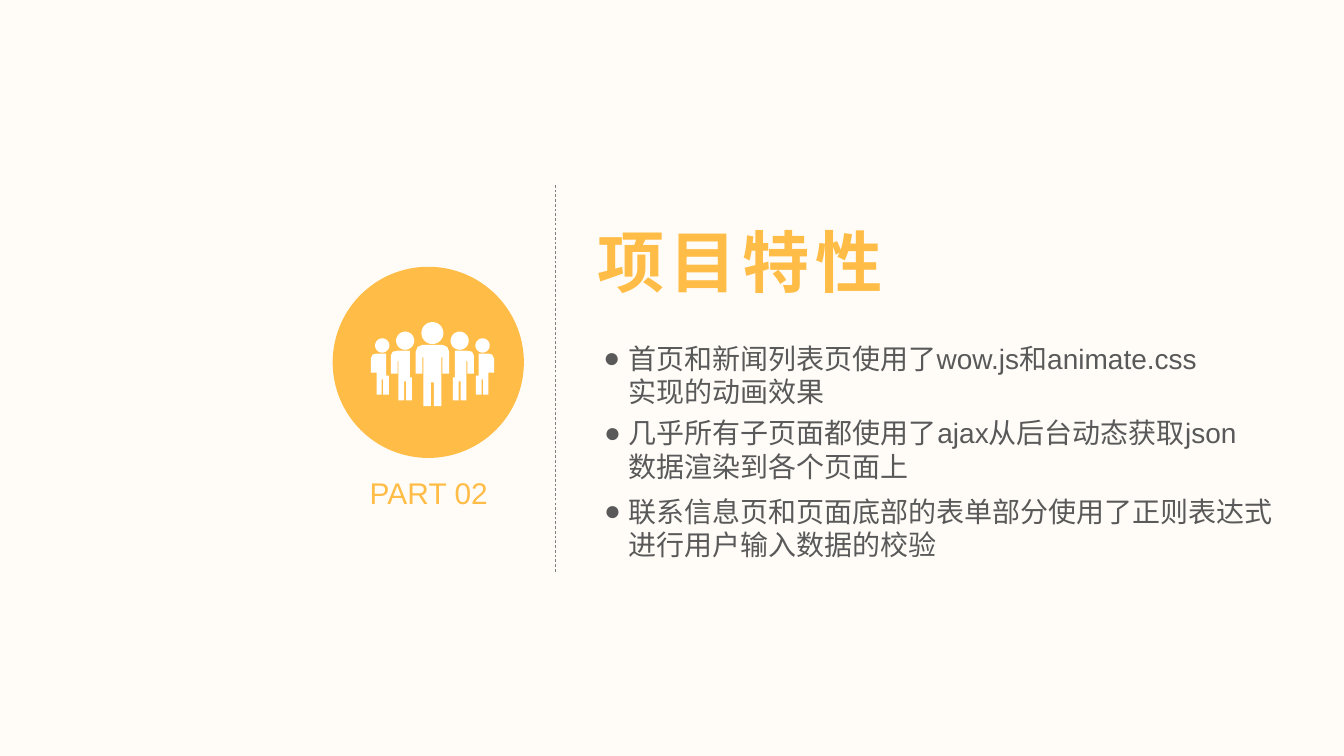
"""Build the section slide for part 02, the project features."""
from math import cos, pi, sin

from lxml.etree import SubElement
from pptx import Presentation
from pptx.dml.color import RGBColor
from pptx.enum.dml import MSO_LINE
from pptx.enum.shapes import MSO_CONNECTOR, MSO_SHAPE
from pptx.enum.text import MSO_ANCHOR, MSO_AUTO_SIZE, PP_ALIGN
from pptx.oxml.ns import qn
from pptx.util import Cm, Pt

ORANGE, GREY, WHITE = "FFBD47", "595959", "FFFFFF"
FEATURES = [
    (16.03, 9.07, 16.1, "首页和新闻列表页使用了wow.js和animate.css实现的动画效果"),
    (16.05, 11.05, 17.35, "几乎所有子页面都使用了ajax从后台动态获取json数据渲染到各个页面上"),
    (16.05, 13.13, 17.88, "联系信息页和页面底部的表单部分使用了正则表达式进行用户输入数据的校验"),
]
HEADS = [(0, 115, 115), (-285, 195, 95), (285, 195, 95),
         (-525, 245, 75), (525, 245, 75)]
LEADER_HALF = [(15, 630), (15, 880), (95, 880), (95, 370), (105, 370),
               (105, 540), (175, 540), (175, 310), (155, 260), (110, 240)]
INNER_BODY = [(215, 580), (215, 820), (275, 820), (275, 620), (295, 620),
              (295, 820), (355, 820), (355, 410), (365, 410), (365, 540),
              (435, 540), (435, 350), (415, 310), (365, 300), (235, 300),
              (235, 580)]
OUTER_BODY = [(455, 560), (455, 760), (515, 760), (515, 600), (530, 600),
              (530, 760), (585, 760), (585, 530), (645, 530), (645, 380),
              (625, 340), (585, 330), (485, 330), (485, 560)]


def color(hex_code):
    """Return the colour for a hex string."""
    return RGBColor.from_string(hex_code)


def place(shape, left, top, width, height):
    """Move and size a shape, in centimetres."""
    shape.left, shape.top = Cm(left), Cm(top)
    shape.width, shape.height = Cm(width), Cm(height)


def write(shape, text, size, hex_code, align=PP_ALIGN.LEFT, bold=False,
          inset=0, wrap=True):
    """Fill a shape with one formatted paragraph and return the paragraph."""
    frame = shape.text_frame
    frame.text = text
    frame.word_wrap = wrap
    frame.auto_size = MSO_AUTO_SIZE.NONE
    frame.vertical_anchor = MSO_ANCHOR.TOP
    frame.margin_left = frame.margin_right = Cm(inset)
    frame.margin_top = frame.margin_bottom = Cm(inset / 2)
    paragraph = frame.paragraphs[0]
    paragraph.alignment = align
    paragraph.space_before = Pt(0)
    font = paragraph.runs[0].font
    font.name, font.size, font.bold = "Arial", Pt(size), bold
    font.color.rgb = color(hex_code)
    return paragraph


def add_bullet(paragraph):
    """Give a paragraph a round bullet with a hanging indent."""
    properties = paragraph._p.get_or_add_pPr()
    properties.set("marL", str(Cm(0.66)))
    properties.set("indent", str(Cm(-0.66)))
    SubElement(properties, qn("a:buFont"), typeface="Arial")
    SubElement(properties, qn("a:buChar"), char="●")


def paint(shape, hex_code):
    """Give a shape a plain fill without line or shadow."""
    shape.shadow.inherit = False
    shape.fill.solid()
    shape.fill.fore_color.rgb = color(hex_code)
    shape.line.fill.background()


def mirror(points):
    """Reflect points about the axis of the icon."""
    return [(-x, y) for x, y in reversed(points)]


def head_outline(center_x, center_y, radius, steps=36):
    """Return the points of a round head."""
    angles = [2 * pi * step / steps for step in range(steps)]
    return [(center_x + radius * cos(angle), center_y + radius * sin(angle))
            for angle in angles]


def add_people_icon(slide):
    """Draw a team of five people on a disc."""
    group = slide.shapes.add_group_shape()
    disc = group.shapes.add_shape(
        MSO_SHAPE.OVAL, Cm(8.84), Cm(7.09), Cm(5.08), Cm(5.08))
    paint(disc, ORANGE)
    outlines = [head_outline(*head) for head in HEADS]
    outlines.append(LEADER_HALF + mirror(LEADER_HALF))
    for body in (INNER_BODY, OUTER_BODY):
        outlines += [body, mirror(body)]
    builder = group.shapes.build_freeform(*outlines[0][0], scale=Cm(0.00254))
    for outline in outlines:
        builder.move_to(*outline[0])
        builder.add_line_segments(outline[1:], close=True)
    paint(builder.convert_to_shape(Cm(11.49), Cm(8.56)), WHITE)


def add_divider(slide, x, top, bottom):
    """Draw a thin dashed vertical line."""
    divider = slide.shapes.add_connector(
        MSO_CONNECTOR.STRAIGHT, Cm(x), Cm(bottom), Cm(x), Cm(top))
    divider.line.color.rgb = color("808080")
    divider.line.width = Pt(0.5)
    divider.line.dash_style = MSO_LINE.DASH
    SubElement(divider._element.spPr, qn("a:effectLst"))


def main():
    """Build and save the presentation."""
    presentation = Presentation()
    presentation.slide_width, presentation.slide_height = Cm(35.71), Cm(20.09)
    slide = presentation.slides.add_slide(presentation.slide_layouts[4])
    slide.background.fill.solid()
    slide.background.fill.fore_color.rgb = color("FFFCF8")

    title, *bodies, spare = list(slide.placeholders)
    spare._element.getparent().remove(spare._element)
    place(title, 15.62, 5.74, 8.23, 2.41)
    heading = write(title, "项目特性", 50.6, ORANGE, bold=True, inset=0.25,
                    wrap=False)
    heading.runs[0].font._element.set("spc", "420")

    add_divider(slide, 14.76, 4.88, 15.19)
    for body, (left, top, width, text) in zip(bodies, FEATURES):
        place(body, left, top, width, 1.8)
        add_bullet(write(body, text, 21.1, GREY))

    part = slide.shapes.add_textbox(Cm(9.63), Cm(12.62), Cm(3.53), Cm(0.97))
    write(part, "PART 02", 22.5, ORANGE, align=PP_ALIGN.CENTER)
    add_people_icon(slide)
    presentation.save("out.pptx")


main()
